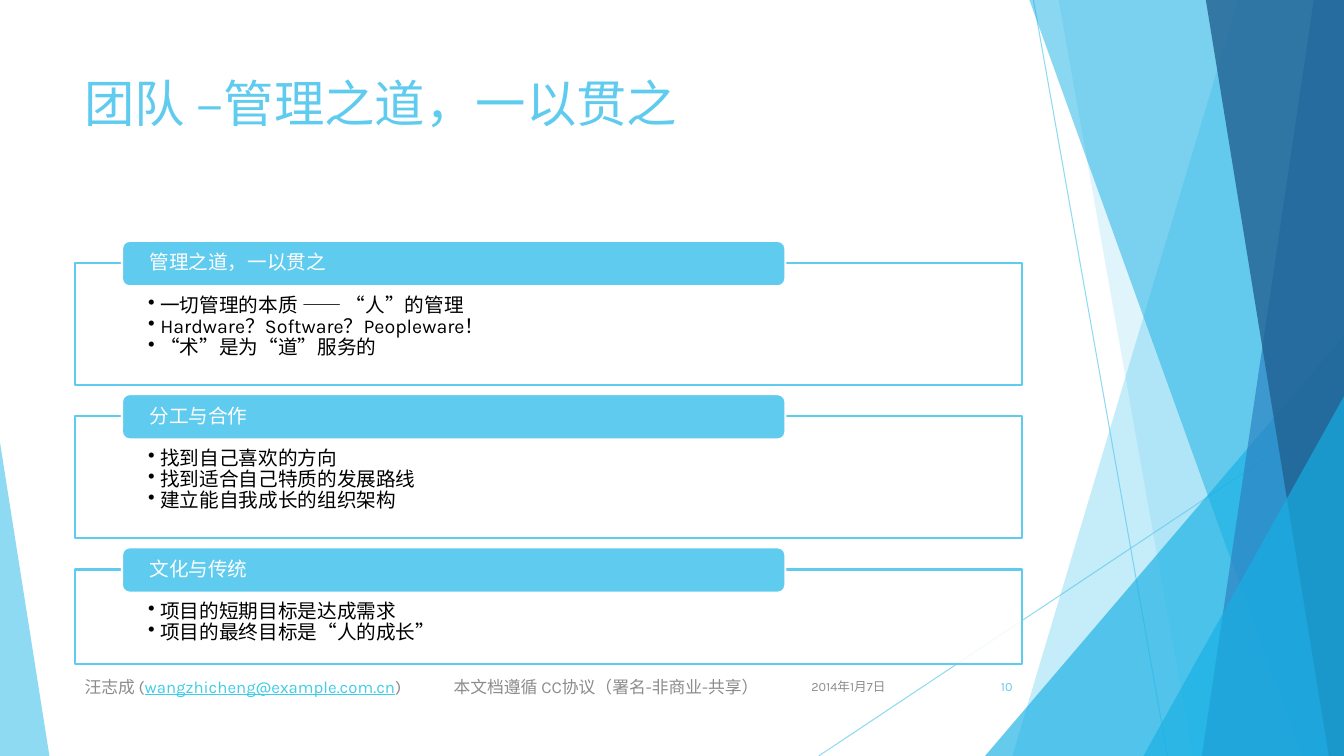
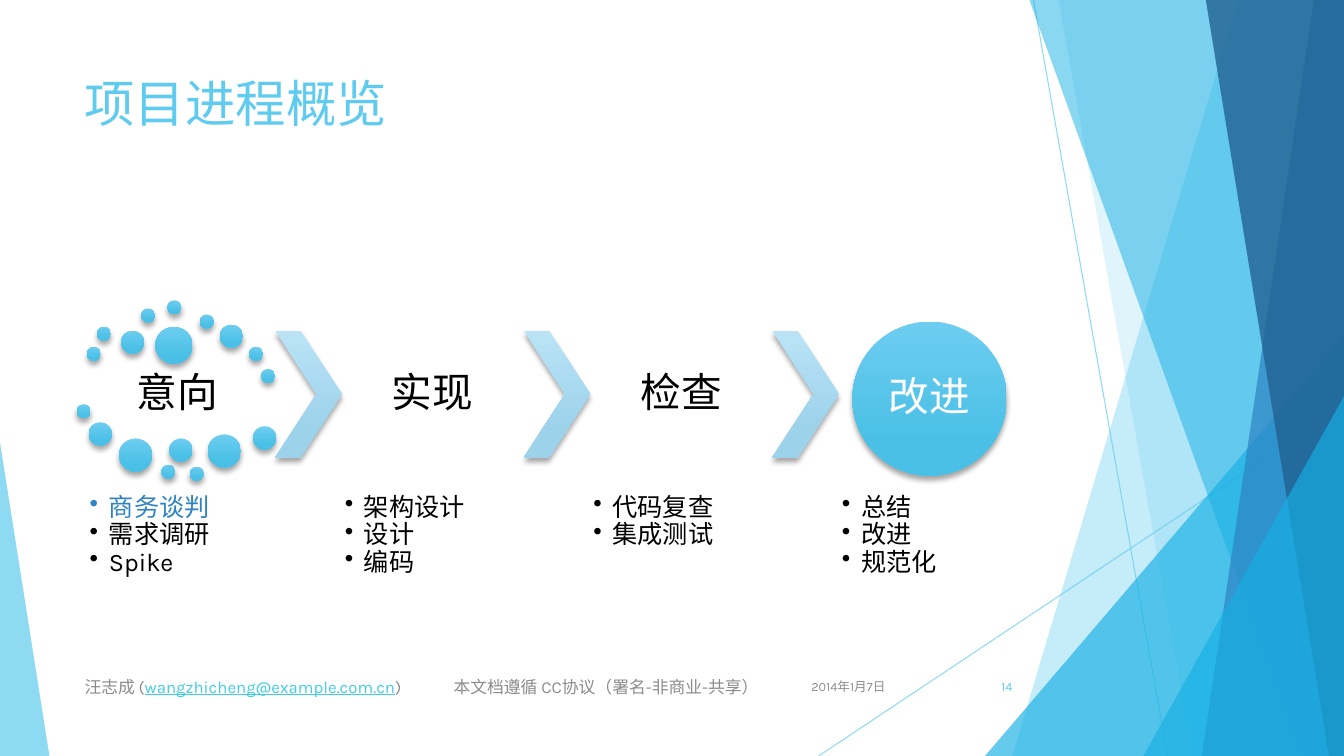
from pptx import Presentation
from pptx.dml.color import RGBColor
from pptx.enum.shapes import MSO_CONNECTOR, MSO_SHAPE as Kind
from pptx.enum.text import MSO_ANCHOR as Anchor, PP_ALIGN as Align
from pptx.oxml.ns import qn
from pptx.util import Inches, Pt
from lxml.etree import SubElement

FONT = "Karla"
SKY = RGBColor(0x5F, 0xCB, 0xEF)
CYAN = RGBColor(0x17, 0xB0, 0xE4)
BLUE = RGBColor(0x2E, 0x83, 0xC3)
NAVY = RGBColor(0x22, 0x62, 0x92)
LINK = RGBColor(0x3F, 0xCD, 0xE7)
GRAY = RGBColor(0x8C, 0x8C, 0x8C)
BLACK = RGBColor(0, 0, 0)
WHITE = RGBColor(255, 255, 255)
BALL_SHADES = (RGBColor(0x6C, 0xCD, 0xF0), RGBColor(0x4B, 0xC0, 0xE6))
ARROW_SHADES = (RGBColor(0xBA, 0xE3, 0xF6), RGBColor(0x9D, 0xD2, 0xEB))

WIDTH, HEIGHT = 13.33, 7.5
LEFT, BODY_WIDTH = 0.74, 9.4

# Shared content
DATE = "2014年1月7日"
FOOTER = [("汪志成 (", GRAY), ("wangzhicheng@example.com.cn", LINK),
          (")\t本文档遵循 CC协议（署名-非商业-共享）", GRAY)]
RAYS = [((10.25, 0), (11.58, HEIGHT)), ((WIDTH, 4.03), (8.12, HEIGHT))]
# Each band runs to the right edge: top left, bottom left, colour, opacity
BANDS_BACK = [(12.28, 10.04, SKY, 36), (10.5, 11.83, SKY, 20)]
BANDS_FRONT = [(10.21, 12.91, CYAN, 50), (13.03, 11.92, BLUE, 70),
               (11.96, 13.18, NAVY, 80)]
# Each corner stands on the bottom edge: left, width, height, apex, colour, opacity
CORNER_BACK = (9.77, 3.56, 4.17, 1, CYAN, 66)
CORNERS_FRONT = [(11.34, 1.99, 3.57, 1, CYAN, 66), (0, 0.49, 3.11, 0, SKY, 70)]

# Team slide
TEAM_TITLE = "团队 –管理之道，一以贯之"
PANELS = [
    ("管理之道，一以贯之", ["一切管理的本质 —— “人”的管理",
                   "Hardware？Software？Peopleware！", "“术”是为“道”服务的"]),
    ("分工与合作", ["找到自己喜欢的方向", "找到适合自己特质的发展路线",
               "建立能自我成长的组织架构"]),
    ("文化与传统", ["项目的短期目标是达成需求", "项目的最终目标是“人的成长”"]),
]
PANEL_TOP, PANEL_GAP, PANEL_PADDING, PANEL_LINE = 2.61, 0.31, 0.4, 0.27

# Process slide
PROCESS_TITLE = "项目进程概览"
STAGES = [
    ("意向", ["商务谈判", "需求调研", "Spike"]),
    ("实现", ["架构设计", "设计", "编码"]),
    ("检查", ["代码复查", "集成测试"]),
    ("改进", ["总结", "改进", "规范化"]),
]
CURRENT_TASK = "商务谈判"
FIRST_STAGE_LEFT, STAGE_WIDTH = 0.86, 1.8
STAGE_TOP, STAGE_HEIGHT = 3.28, 1.26
FIRST_ARROW_LEFT, LAST_ARROW_LEFT, ARROW_WIDTH = 2.73, 7.66, 0.66
GOAL_TOP, GOAL_SIZE = 3.19, 1.53
# Dots of the idea cloud by diameter: left, top
DOTS = {
    0.14: [(0.86, 3.44), (0.96, 3.24), (1.4, 3.06), (1.66, 2.98), (1.98, 3.12),
           (2.47, 3.44), (2.59, 3.66), (0.76, 4.01), (1.6, 4.61), (1.88, 4.63)],
    0.23: [(1.2, 3.28), (2.18, 3.22), (0.88, 4.19), (1.68, 4.35), (2.51, 4.23)],
    0.33: [(1.18, 4.35), (2.06, 4.31)],
    0.37: [(1.54, 3.24)],
}


def set_opacity(shape, percent):
    """Make the first colour of a shape partly transparent."""
    colour = next(shape._element.spPr.iter(qn("a:srgbClr")))
    SubElement(colour, qn("a:alpha")).set("val", str(percent * 1000))


def paint(shape, colour, opacity=100):
    """Give a shape a flat fill without line or shadow."""
    shape.shadow.inherit = False
    shape.fill.solid()
    shape.fill.fore_color.rgb = colour
    if opacity < 100:
        set_opacity(shape, opacity)
    shape.line.fill.background()


def outline(shape, colour):
    """Draw the border of a panel or of its header."""
    shape.line.color.rgb = colour
    shape.line.width = Pt(1.5)


def add_shape(page, kind, left, top, width, height):
    """Add a preset shape measured in inches."""
    return page.shapes.add_shape(kind, Inches(left), Inches(top),
                                 Inches(width), Inches(height))


def add_glossy(page, kind, left, top, width, height, shades):
    """Add a shape with a vertical gradient and a soft shadow below."""
    shape = add_shape(page, kind, left, top, width, height)
    paint(shape, shades[0])
    shape.fill.gradient()
    shape.fill.gradient_angle = 270
    for stop, shade, position in zip(shape.fill.gradient_stops, shades, (0, 0.78)):
        stop.color.rgb = shade
        stop.position = position
    effects = shape._element.spPr.find(qn("a:effectLst"))
    shadow = SubElement(effects, qn("a:outerShdw"), blurRad=str(Pt(4)),
                        dist=str(Pt(3)), dir="5400000", rotWithShape="0")
    colour = SubElement(shadow, qn("a:srgbClr"), val="000000")
    SubElement(colour, qn("a:alpha"), val="35000")
    return shape


def style(span, size, colour):
    """Set font, size and colour of a run."""
    span.font.name = FONT
    span.font.size = Pt(size)
    span.font.color.rgb = colour


def write(shape, lines, size, colour, align=Align.LEFT, anchor=Anchor.MIDDLE,
          insets=(0.1, 0.05, 0.1, 0.05), spacing=None, bullet=0):
    """Fill a shape with paragraphs; bullet is the hanging indent."""
    frame = shape.text_frame
    frame.word_wrap = True
    frame.vertical_anchor = anchor
    (frame.margin_left, frame.margin_top,
     frame.margin_right, frame.margin_bottom) = map(Inches, insets)
    frame.text = "\n".join(lines)
    for para in frame.paragraphs:
        para.alignment = align
        para.line_spacing = spacing
        if bullet:
            properties = para._p.get_or_add_pPr()
            properties.set("marL", str(Inches(bullet)))
            properties.set("indent", str(-Inches(bullet)))
            SubElement(properties, qn("a:buChar"), char="•")
        for span in para.runs:
            style(span, size, colour)


def add_text(page, left, top, width, height, lines, size, colour, **options):
    """Add a text box measured in inches."""
    box = page.shapes.add_textbox(Inches(left), Inches(top),
                                  Inches(width), Inches(height))
    write(box, lines, size, colour, **options)
    return box


def add_ray(page, start, end):
    """Add a thin background line."""
    ray = page.shapes.add_connector(MSO_CONNECTOR.STRAIGHT,
                                    *map(Inches, start + end))
    ray.line.color.rgb = SKY
    ray.line.width = Pt(0.75)
    set_opacity(ray, 70)
    SubElement(ray._element.spPr, qn("a:effectLst"))


def add_band(page, top_left, bottom_left, colour, opacity):
    """Add a slanted band that reaches the right edge."""
    builder = page.shapes.build_freeform(Inches(top_left), 0)
    corners = [(WIDTH, 0), (WIDTH, HEIGHT), (bottom_left, HEIGHT)]
    builder.add_line_segments([(Inches(x), Inches(y)) for x, y in corners])
    paint(builder.convert_to_shape(), colour, opacity)


def add_corner(page, left, width, height, apex, colour, opacity):
    """Add a right triangle standing on the bottom edge."""
    corner = add_shape(page, Kind.ISOSCELES_TRIANGLE, left, HEIGHT - height,
                       width, height)
    corner.adjustments[0] = apex
    paint(corner, colour, opacity)


def add_footer(page, number):
    """Add date, page number and licence line."""
    add_text(page, 7.88, 6.61, 1, 0.4, [DATE], 9, GRAY, align=Align.RIGHT)
    add_text(page, 9.39, 6.61, 0.75, 0.4, [str(number)], 9, SKY, align=Align.RIGHT)
    box = add_text(page, LEFT, 6.61, 6.89, 0.4, [], 12, GRAY)
    para = box.text_frame.paragraphs[0]
    tabs = SubElement(para._p.get_or_add_pPr(), qn("a:tabLst"))
    SubElement(tabs, qn("a:tab"), pos=str(Inches(3.66)), algn="l")
    for words, colour in FOOTER:
        span = para.add_run()
        span.text = words
        style(span, 12, colour)
        span.font.underline = colour == LINK


def add_page(deck, title):
    """Add a slide with the shared background and title."""
    page = deck.slides.add_slide(deck.slide_layouts[6])
    for ray in RAYS:
        add_ray(page, *ray)
    for band in BANDS_BACK:
        add_band(page, *band)
    add_corner(page, *CORNER_BACK)
    for band in BANDS_FRONT:
        add_band(page, *band)
    for corner in CORNERS_FRONT:
        add_corner(page, *corner)
    add_text(page, LEFT, 0.67, BODY_WIDTH, 1.44, [title], 36, SKY,
             anchor=Anchor.TOP)
    return page


def build_team(deck):
    """Build the slide with three headed panels."""
    page = add_page(deck, TEAM_TITLE)
    top = PANEL_TOP
    for heading, points in PANELS:
        height = PANEL_PADDING + PANEL_LINE * len(points)
        panel = add_shape(page, Kind.RECTANGLE, LEFT, top, BODY_WIDTH, height)
        paint(panel, WHITE, 90)
        outline(panel, SKY)
        write(panel, points, 14, BLACK, anchor=Anchor.TOP, spacing=0.9,
              insets=(0.73, 0.32, 0.73, 0.11), bullet=0.12)
        header = add_shape(page, Kind.ROUNDED_RECTANGLE, 1.21, top - 0.22, 6.58, 0.45)
        paint(header, SKY)
        outline(header, WHITE)
        write(header, [heading], 14, WHITE, insets=(0.25, 0, 0.25, 0), spacing=0.9)
        top += height + PANEL_GAP
    add_footer(page, 10)


def build_process(deck):
    """Build the slide with four stages joined by chevrons."""
    page = add_page(deck, PROCESS_TITLE)
    for size, places in DOTS.items():
        for left, top in places:
            add_glossy(page, Kind.OVAL, left, top, size, size, BALL_SHADES)
    step = (LAST_ARROW_LEFT - FIRST_ARROW_LEFT) / (len(STAGES) - 2)
    left = FIRST_STAGE_LEFT
    for index, (name, tasks) in enumerate(STAGES):
        if index:
            arrow_left = FIRST_ARROW_LEFT + (index - 1) * step
            arrow = add_glossy(page, Kind.CHEVRON, arrow_left, STAGE_TOP,
                               ARROW_WIDTH, STAGE_HEIGHT, ARROW_SHADES)
            arrow.adjustments[0] = 0.62
            left = arrow_left + ARROW_WIDTH
        if index == len(STAGES) - 1:
            goal = add_glossy(page, Kind.OVAL, left + (STAGE_WIDTH - GOAL_SIZE) / 2,
                              GOAL_TOP, GOAL_SIZE, GOAL_SIZE, BALL_SHADES)
            write(goal, [name], 29, WHITE, align=Align.CENTER,
                  insets=(0, 0, 0, 0), spacing=0.9)
        else:
            add_text(page, left, STAGE_TOP, STAGE_WIDTH, STAGE_HEIGHT, [name], 29,
                     BLACK, align=Align.CENTER, insets=(0.04,) * 4, spacing=0.9)
        box = add_text(page, left, 4.88, STAGE_WIDTH, 1.11, tasks, 18, BLACK,
                       anchor=Anchor.TOP, insets=(0.03,) * 4, spacing=0.9,
                       bullet=0.19)
        for para in box.text_frame.paragraphs:
            if para.text == CURRENT_TASK:
                para.runs[0].font.color.rgb = BLUE
    add_footer(page, 14)


deck = Presentation()
deck.slide_width, deck.slide_height = Inches(WIDTH), Inches(HEIGHT)
build_team(deck)
build_process(deck)
deck.save("out.pptx")
